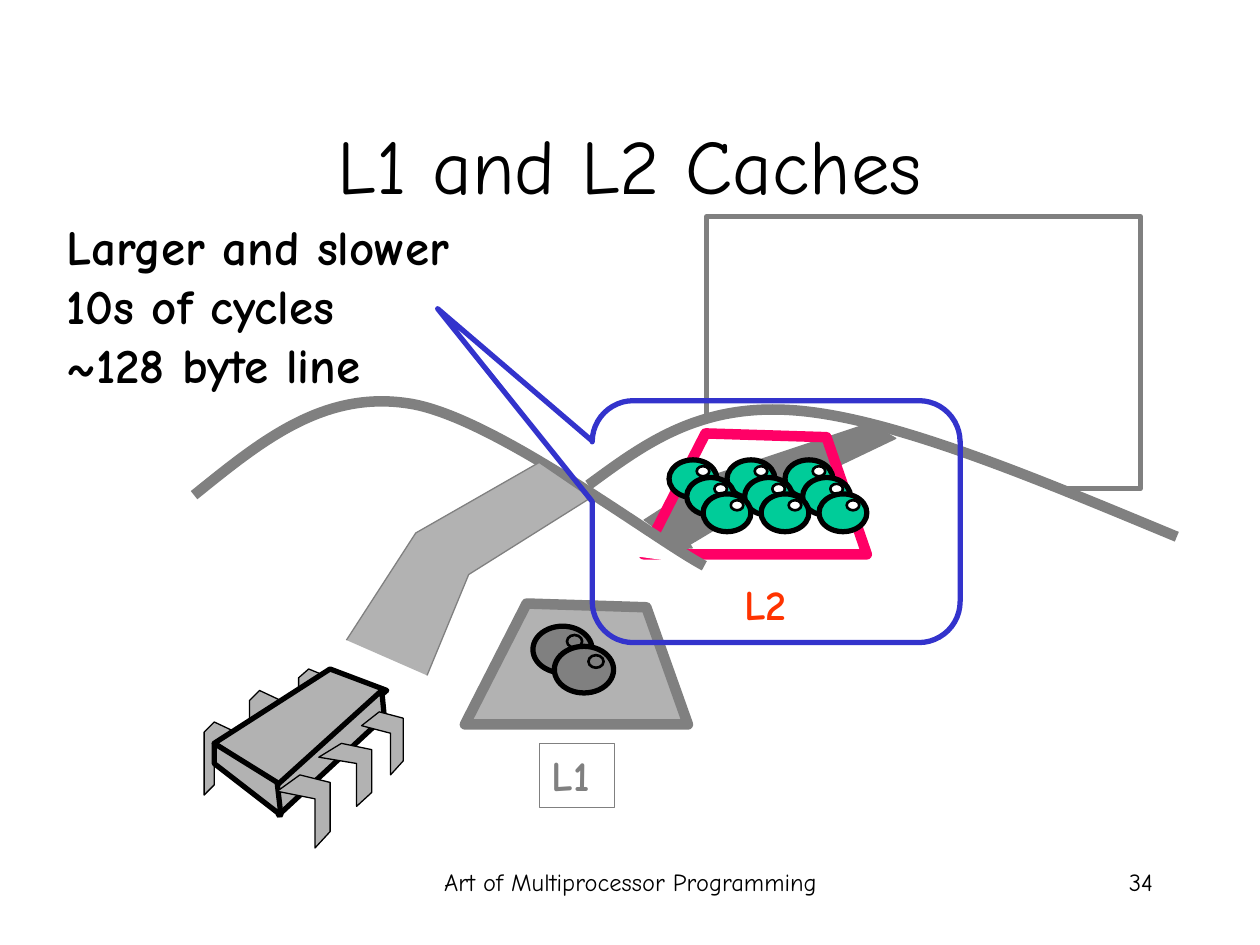
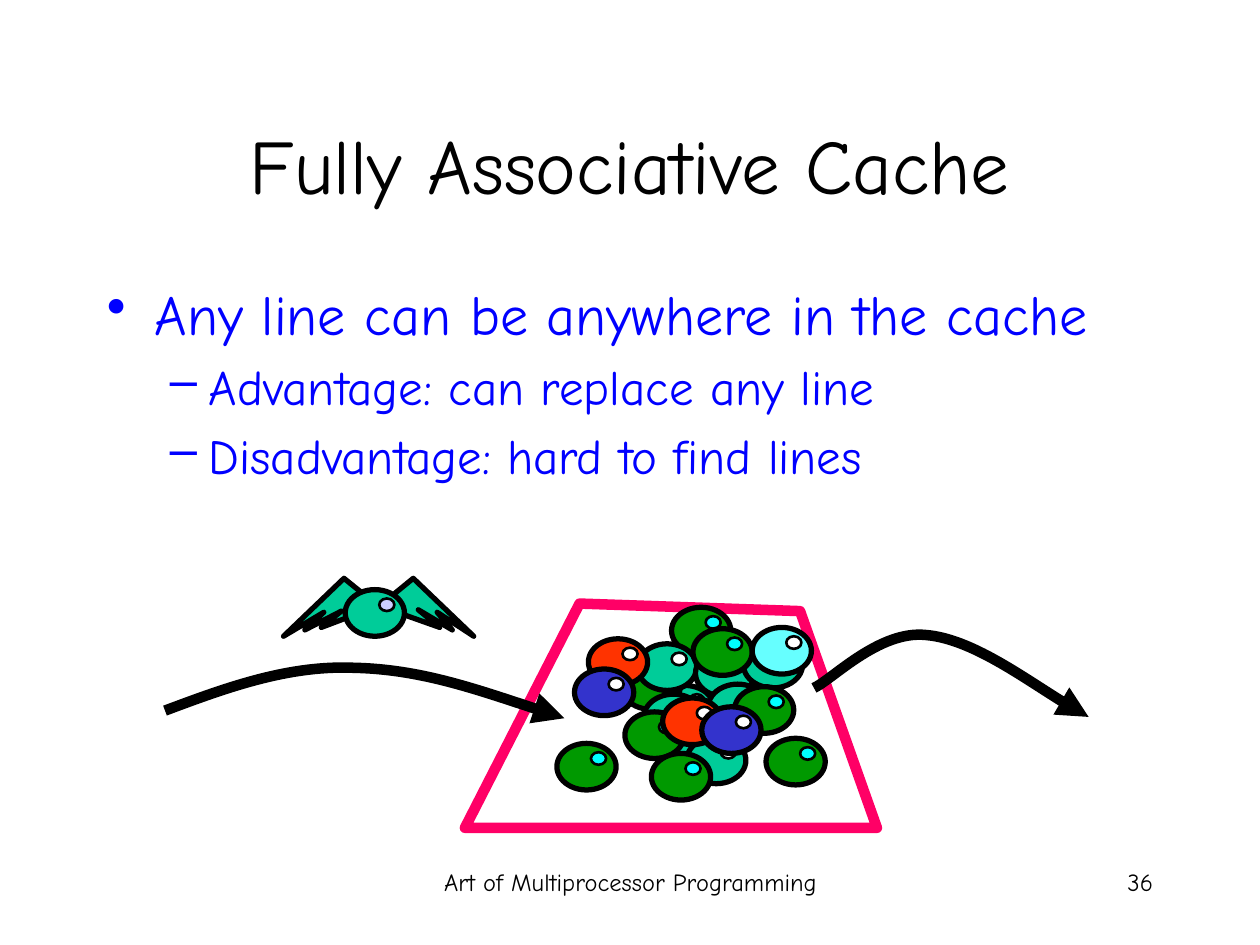
"""Build two slides on L1/L2 caches and the fully associative cache."""
import lxml.etree
import pptx
import pptx.dml.color
import pptx.enum.shapes
import pptx.enum.text
import pptx.oxml.ns
import pptx.util

PX = 9144
FONT = "Comic Neue"
HUES = {
    "black": "000000", "white": "FFFFFF", "grey": "808080", "pale": "B2B2B2",
    "pink": "FF0066", "red": "FF3300", "blue": "3333CC", "text": "0000FF",
    "teal": "00CC99", "green": "009900", "cyan": "00FFFF", "sky": "66FFFF",
    "mist": "CCCCFF",
}
RGB = {name: pptx.dml.color.RGBColor.from_string(code) for name, code in HUES.items()}
FORM = pptx.enum.shapes.MSO_SHAPE
ALIGN = pptx.enum.text.PP_ALIGN
ANCHOR = pptx.enum.text.MSO_ANCHOR
qn = pptx.oxml.ns.qn


def write(page, text, box, size=14, hue="black", bold=False, align=ALIGN.LEFT, anchor=ANCHOR.TOP):
    label = page.shapes.add_textbox(*[n * PX for n in box])
    frame = label.text_frame
    frame.word_wrap = True
    frame.vertical_anchor = anchor
    frame.text = text
    for para in frame.paragraphs:
        para.alignment = align
        font = para.runs[0].font
        font.name, font.size, font.bold = FONT, pptx.util.Pt(size), bold
        font.color.rgb = RGB[hue]
    return label


def draw(page, spots, form=None, fill=None, line="black", width=3, close=True, curve=False, arrow=False):
    if form:
        shape = page.shapes.add_shape(form, *[n * PX for n in spots])
    else:
        maker = page.shapes.build_freeform(*spots[0], scale=PX)
        maker.add_line_segments(spots[1:], close=close)
        shape = maker.convert_to_shape()
    if curve:
        steps = shape._element.xpath(".//a:lnTo")
        trail = steps[0].getparent()
        for i in range(0, len(steps), 3):
            bend = lxml.etree.SubElement(trail, qn("a:cubicBezTo"))
            for step in steps[i:i + 3]:
                bend.append(step[0])
                trail.remove(step)
    shape.shadow.inherit = False
    if fill:
        shape.fill.solid()
        shape.fill.fore_color.rgb = RGB[fill]
    else:
        shape.fill.background()
    shape.line.color.rgb = RGB[line]
    shape.line.width = pptx.util.Pt(width)
    edge = shape.line._get_or_add_ln()
    lxml.etree.SubElement(edge, qn("a:round"))
    if arrow:
        lxml.etree.SubElement(edge, qn("a:tailEnd"), type="triangle")
    return shape


deck = pptx.Presentation()
deck.slide_width, deck.slide_height = 1000 * PX, 750 * PX
pages = []
for title, number in (("L1 and L2 Caches", "34"), ("Fully Associative Cache", "36")):
    page = deck.slides.add_slide(deck.slide_layouts[6])
    write(page, "Art of Multiprocessor Programming", (342, 683, 317, 50), align=ALIGN.CENTER)
    write(page, number, (717, 683, 208, 50), align=ALIGN.RIGHT)
    write(page, title, (75, 67, 850, 125), size=44, align=ALIGN.CENTER, anchor=ANCHOR.MIDDLE)
    pages.append(page)
levels, full = pages

# Memory and the L2 tray
draw(levels, (561, 172, 344, 216), form=FORM.RECTANGLE, line="grey")
draw(levels, [(467, 385), (512, 352), (556, 319), (634, 326), (712, 333), (823, 380), (934, 426)],
     fill="white", line="grey", width=6, close=False, curve=True)
draw(levels, [(511, 413), (567, 377), (690, 336), (711, 348), (598, 402), (541, 436)],
     fill="grey", line="grey", width=0.75, close=False, arrow=True)
draw(levels, [(560, 344), (511, 440), (688, 440), (656, 347)], line="pink", width=6)

# Processor chip
back = [(1, .14), (.33, 0), (0, .14), (0, 1), (.33, .86), (.33, .29), (1, .43)]
front = [(.43, 0), (0, .22), (.71, .33), (.71, 1), (1, .78), (1, .1)]
faces = [
    [(262, 531), (170, 590), (221, 624), (307, 548)],
    [(303, 548), (220, 623), (221, 647), (305, 569)],
    [(170, 590), (170, 606), (223, 647), (220, 621)],
]
rear = [(162, 573, 25, 58), (198, 548, 25, 58), (237, 531, 25, 50)]
fore = [(220, 615, 42, 58), (253, 590, 42, 50), (287, 565, 33, 50)]
legs = [[[(round(x + u * w), round(y + v * h)) for u, v in leg] for x, y, w, h in spots]
        for leg, spots in ((back, rear), (front, fore))]
for group, width in ((legs[0], 0.75), (faces, 3), (legs[1], 0.75)):
    for spots in group:
        draw(levels, spots, fill="pale", width=width)

# Bus and the L1 tray
draw(levels, [(154, 393), (205, 352), (255, 310), (323, 320), (390, 329), (519, 428), (559, 449)],
     fill="white", line="grey", width=6, close=False, curve=True)
draw(levels, [(275, 508), (330, 423), (428, 367), (469, 395), (372, 456), (339, 536)],
     fill="pale", line="grey", width=0.75, close=False)
draw(levels, [(418, 479), (369, 575), (546, 575), (513, 482)], fill="pale", line="grey", width=6)
tag = write(levels, "L1", (428, 590, 60, 51), size=24, hue="grey", bold=True)
tag.line.color.rgb = RGB["grey"]
tag.line.width = pptx.util.Pt(0.75)
write(levels, "L2", (581, 454, 59, 50), size=24, hue="red", bold=True)

# Bullets, tray, arrows and wings
lines = ("Any line can be anywhere in the cache", "Advantage: can replace any line",
         "Disadvantage: hard to find lines")
body = write(full, "\n".join(lines), (75, 217, 850, 450), size=28, hue="text")
for i, para in enumerate(body.text_frame.paragraphs):
    size, mark, left, hang = (28, "–", 81, 31) if i else (32, "•", 38, 38)
    para.level = min(i, 1)
    para.runs[0].font.size = pptx.util.Pt(size)
    para.space_before = pptx.util.Pt(size * 0.2)
    props = para._p.get_or_add_pPr()
    props.set("marL", str(left * PX))
    props.set("indent", str(-hang * PX))
    lxml.etree.SubElement(props, qn("a:buChar"), char=mark)
draw(full, [(460, 479), (369, 657), (696, 657), (635, 485)], line="pink", width=6)
for spots in (
    [(131, 564), (179, 546), (228, 528), (280, 530), (333, 531), (390, 551), (448, 570)],
    [(646, 546), (661, 539), (698, 500), (735, 504), (771, 507), (837, 555), (864, 569)],
):
    draw(full, spots, width=6, close=False, curve=True, arrow=True)
for spots in (
    [(306, 477), (328, 459), (376, 505), (347, 486), (359, 500), (332, 484), (349, 498), (301, 481)],
    [(294, 476), (273, 459), (225, 505), (257, 486), (242, 500), (271, 485), (255, 498), (300, 481)],
):
    draw(full, spots, fill="teal")

# Balls, from back to front
small = [(531 + 46 * col + round(13.5 * row), 365 + round(13.5 * row)) for row in range(3) for col in range(3)]
heaps = [
    (levels, 47, 37, "grey", "grey", [(423, 497), (440, 513)]),
    (levels, 38, 30, "teal", "white", small),
    (full, 47, 37, "green", "cyan", [(533, 482)]),
    (full, 47, 37, "teal", "white", [(520, 544)]),
    (full, 47, 37, "green", "cyan", [(493, 526)]),
    (full, 47, 37, "teal", "white", [(537, 561), (511, 551), (528, 568), (545, 585), (506, 511),
                                     (552, 516), (562, 543), (590, 509)]),
    (full, 47, 37, "green", "cyan", [(550, 499), (496, 565), (583, 545), (608, 586), (517, 598), (442, 590)]),
    (full, 47, 37, "teal", "mist", [(274, 468)]),
    (full, 47, 37, "red", "white", [(526, 554), (467, 507)]),
    (full, 47, 37, "sky", "white", [(597, 498)]),
    (full, 47, 37, "blue", "white", [(456, 531), (557, 561)]),
]
for page, w, h, skin, glint, spots in heaps:
    for x, y in spots:
        draw(page, (x, y, w, h), form=FORM.OVAL, fill=skin)
        shine = (x + round(w * 0.57), y + round(h * 0.18), round(w * 0.26), round(h * 0.27))
        draw(page, shine, form=FORM.OVAL, fill=glint, width=1.5)

# Callout on L2
call = draw(levels, (470, 318, 292, 192), form=FORM.ROUNDED_RECTANGULAR_CALLOUT, line="blue")
for i, value in enumerate((-0.92, -0.88, 0.17)):
    call.adjustments[i] = value
write(levels, "Larger and slower\n10s of cycles\n~128 byte line", (43, 167, 362, 151), size=28, bold=True)

deck.save("out.pptx")
